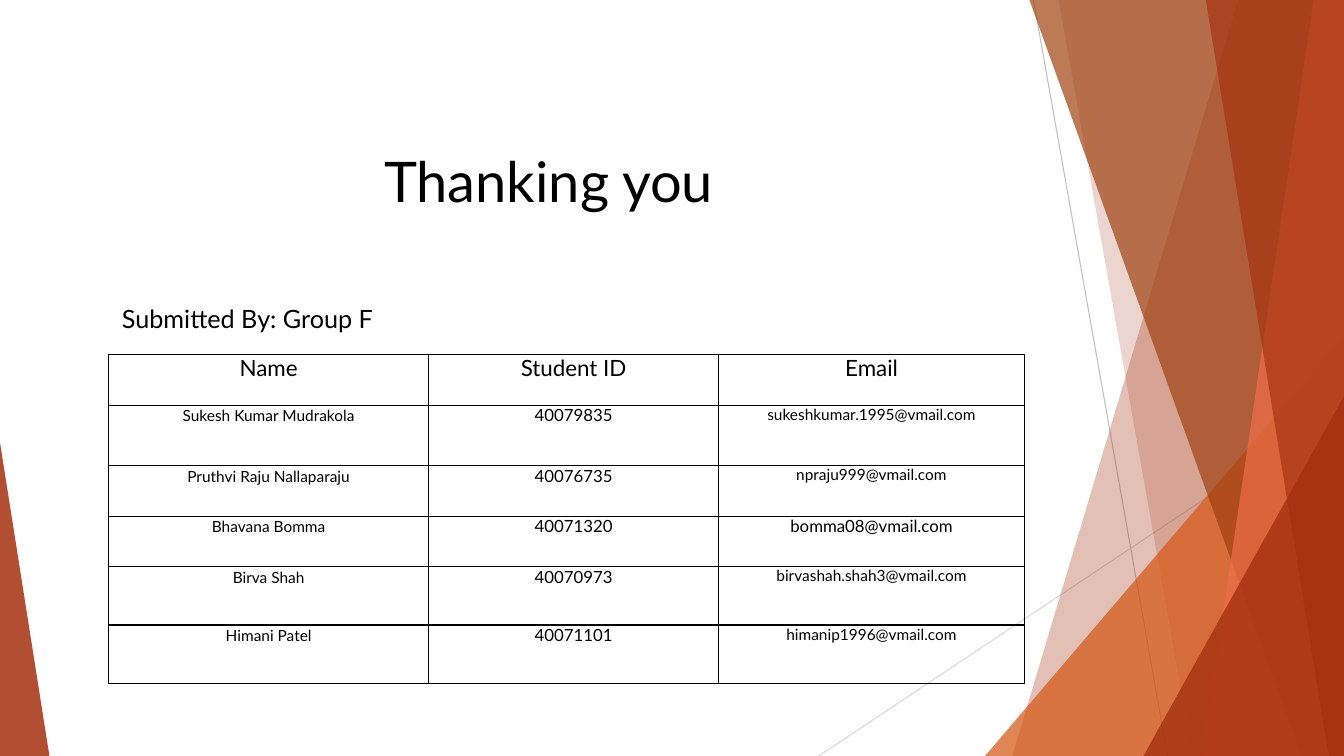
from lxml import etree
from pptx import Presentation
from pptx.dml.color import RGBColor
from pptx.enum.shapes import MSO_CONNECTOR
from pptx.enum.text import MSO_ANCHOR, PP_ALIGN
from pptx.oxml.ns import qn
from pptx.util import Inches, Pt

STRAIGHT = MSO_CONNECTOR.STRAIGHT
TOP = MSO_ANCHOR.TOP
LEFT, CENTER = PP_ALIGN.LEFT, PP_ALIGN.CENTER

FONT = "Lato"
BLACK = RGBColor(0x00, 0x00, 0x00)
GREY = RGBColor(0xBF, 0xBF, 0xBF)
LIGHT_GREY = RGBColor(0xD9, 0xD9, 0xD9)
RUST = RGBColor(0xA5, 0x30, 0x0F)
ORANGE = RGBColor(0xD5, 0x58, 0x16)
BROWN = RGBColor(0xA0, 0x42, 0x11)
CORAL = RGBColor(0xEF, 0x6E, 0x49)

WIDTH, HEIGHT = 13.33, 7.5


def write(frame, text, size, align=LEFT, inset=0.05, line_spacing=None, space_after=0):
    frame.margin_left = frame.margin_right = Inches(inset)
    frame.margin_top = frame.margin_bottom = Inches(inset)
    frame.word_wrap = True
    paragraph = frame.paragraphs[0]
    paragraph.alignment = align
    paragraph.line_spacing = line_spacing
    paragraph.space_after = Pt(space_after)
    run = paragraph.add_run()
    run.text = text
    run.font.name = FONT
    run.font.size = Pt(size)
    run.font.color.rgb = BLACK


def add_border(cell):
    properties = cell._tc.get_or_add_tcPr()
    for position, side in enumerate(("lnL", "lnR", "lnT", "lnB")):
        border = etree.Element(qn(f"a:{side}"), w=str(Pt(1)))
        fill = etree.SubElement(border, qn("a:solidFill"))
        etree.SubElement(fill, qn("a:srgbClr"), val=str(BLACK))
        properties.insert(position, border)


prs = Presentation()
prs.slide_width, prs.slide_height = Inches(WIDTH), Inches(HEIGHT)
slide = prs.slides.add_slide(prs.slide_layouts[5])
shapes = slide.shapes

# Thin lines behind the facets
for x1, y1, x2, y2, color in (
    (10.25, 0, 11.58, HEIGHT, GREY),
    (WIDTH, 4.03, 8.12, HEIGHT, LIGHT_GREY),
):
    ray = shapes.add_connector(STRAIGHT, Inches(x1), Inches(y1), Inches(x2), Inches(y2))
    ray.line.color.rgb = color
    ray.line.width = Pt(0.75)
    etree.SubElement(ray._element.spPr, qn("a:effectLst"))

# Translucent facets: corner points, colour, opacity in percent
top_right, bottom_right = (WIDTH, 0), (WIDTH, HEIGHT)
facets = [
    ([(12.28, 0), top_right, bottom_right, (10.04, HEIGHT)], RUST, 30),
    ([(10.5, 0), top_right, bottom_right, (11.83, HEIGHT)], RUST, 20),
    ([(9.77, HEIGHT), (WIDTH, 3.33), bottom_right], ORANGE, 72),
    ([(10.21, 0), top_right, bottom_right, (12.91, HEIGHT)], BROWN, 70),
    ([(13.03, 0), top_right, bottom_right, (11.92, HEIGHT)], CORAL, 70),
    ([(11.96, 0), top_right, bottom_right, (13.18, HEIGHT)], RUST, 65),
    ([(11.34, HEIGHT), (WIDTH, 3.93), bottom_right], RUST, 80),
    ([(0, HEIGHT), (0, 4.39), (0.49, HEIGHT)], RUST, 85),
]
for corners, color, opacity in facets:
    points = [(Inches(x), Inches(y)) for x, y in corners]
    outline = shapes.build_freeform(*points[0])
    outline.add_line_segments(points[1:], close=True)
    facet = outline.convert_to_shape()
    facet.shadow.inherit = False
    facet.line.fill.background()
    facet.fill.solid()
    facet.fill.fore_color.rgb = color
    tint = facet._element.spPr.find(f".//{qn('a:srgbClr')}")
    etree.SubElement(tint, qn("a:alpha"), val=str(opacity * 1000))

# Group members
members = [
    ("Name", "Student ID", "Email"),
    ("Sukesh Kumar Mudrakola", "40079835", "sukeshkumar.1995@vmail.com"),
    ("Pruthvi Raju Nallaparaju", "40076735", "npraju999@vmail.com"),
    ("Bhavana Bomma", "40071320", "bomma08@vmail.com"),
    ("Birva Shah", "40070973", "birvashah.shah3@vmail.com"),
    ("Himani Patel", "40071101", "himanip1996@vmail.com"),
]
column_widths = [3.17, 2.88, 3.03]
row_heights = [0.5, 0.6, 0.5, 0.5, 0.58, 0.58]
table = shapes.add_table(
    len(members), len(column_widths), Inches(1.08), Inches(3.52),
    Inches(sum(column_widths)), Inches(sum(row_heights)),
).table
table.first_row = table.horz_banding = False
for column, width in zip(table.columns, column_widths):
    column.width = Inches(width)
for row, height in zip(table.rows, row_heights):
    row.height = Inches(height)

for r, member in enumerate(members):
    for c, text in enumerate(member):
        cell = table.cell(r, c)
        cell.fill.background()
        add_border(cell)
        cell.vertical_anchor = TOP
        cell.margin_left = cell.margin_right = cell.margin_top = cell.margin_bottom = 0
        if r == 0:
            size = 16
        elif c == 1 or text.startswith("bomma08"):
            size = 12
        else:
            size = 11
        is_name = r > 0 and c == 0
        write(cell.text_frame, text, size, align=CENTER, inset=0,
              line_spacing=1.07 if is_name else None,
              space_after=8.7 if is_name else 0)

# Title and subtitle
title = shapes.title
title.left, title.top = Inches(3.76), Inches(1.4)
title.width, title.height = Inches(3.71), Inches(0.77)
title.text_frame.vertical_anchor = TOP
write(title.text_frame, "Thanking you", 40)

submitted_by = shapes.add_textbox(Inches(1.16), Inches(2.96), Inches(5.87), Inches(0.4))
write(submitted_by.text_frame, "Submitted By: Group F", 18)

prs.save("out.pptx")
